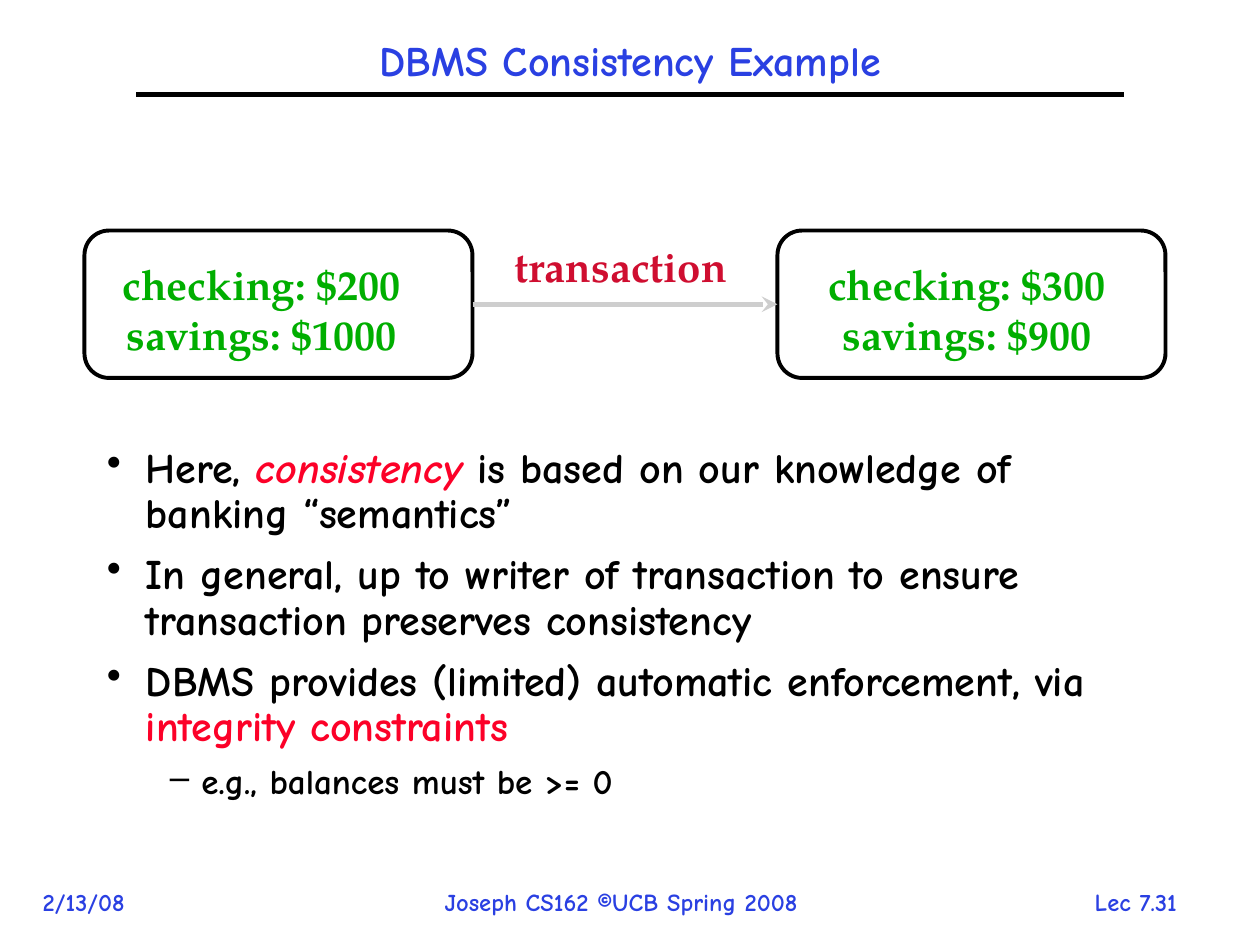
from lxml.etree import SubElement
from pptx import Presentation
from pptx.dml.color import RGBColor
from pptx.enum.shapes import MSO_CONNECTOR as Connector, MSO_SHAPE as Shape
from pptx.enum.text import MSO_ANCHOR as Anchor, PP_ALIGN as Align
from pptx.oxml.ns import qn
from pptx.util import Inches, Pt

COMIC, SERIF = "Comic Neue", "TeX Gyre Pagella"
BLACK, BLUE, RED, GREEN = "000000", "2A40E2", "FC0128", "00AE00"
CRIMSON, GRAY = "CF0E30", "CECECE"

BULLETS = [
    (0, [("Here, ", BLACK, False), ("consistency", RED, True),
         (" is based on our knowledge of banking “semantics”", BLACK, False)]),
    (0, [("In general, up to writer of transaction to ensure "
          "transaction preserves consistency", BLACK, False)]),
    (0, [("DBMS provides (limited) automatic enforcement, via ", BLACK, False),
         ("integrity constraints", RED, False)]),
    (1, [("e.g., balances must be >= 0", BLACK, False)]),
]
LEVELS = [("•", 0.31, -0.31, 24, 9), ("–", 0.75, -0.25, 20, 7.5)]


def paint(target, color):
    """Give a fill or a font a solid colour from a hex string."""
    if hasattr(target, "solid"):
        target.solid()
        target.fore_color.rgb = RGBColor.from_string(color)
    else:
        target.color.rgb = RGBColor.from_string(color)


def set_font(font, name, size):
    """Set a bold font of the given name and size."""
    font.name, font.size, font.bold = name, Pt(size), True


def add_text(page, place, lines, name, size, color, align=Align.CENTER, wrap=False):
    """Add a text box with one paragraph per line and return its frame."""
    frame = page.shapes.add_textbox(*map(Inches, place)).text_frame
    frame.word_wrap = wrap
    frame.text = "\n".join(lines)
    for para in frame.paragraphs:
        para.alignment = align
        set_font(para.font, name, size)
        paint(para.font, color)
    return frame


def add_line(page, start, end, color):
    """Add a straight 3 point line without shadow."""
    line = page.shapes.add_connector(Connector.STRAIGHT, *map(Inches, start + end))
    paint(line.line.fill, color)
    line.line.width = Pt(3)
    SubElement(line._element.spPr, qn("a:effectLst"))
    return line


def add_state(page, left, text_left, lines):
    """Add a rounded account box with its balances."""
    place = map(Inches, (left, 1.83, 3.08, 1.17))
    box = page.shapes.add_shape(Shape.ROUNDED_RECTANGLE, *place)
    box.adjustments[0] = 0.167
    box.shadow.inherit = False
    box.fill.background()
    paint(box.line.fill, BLACK)
    box.line.width = Pt(2.25)
    add_text(page, (text_left, 2, 2.63, 0.9), lines, SERIF, 24, GREEN)
    return box


def add_arrow(page, source, target):
    """Join the facing sides of two boxes with an arrow."""
    arrow = add_line(page, (3.75, 2.42), (6.17, 2.42), GRAY)
    arrow.begin_connect(source, 3)
    arrow.end_connect(target, 1)
    SubElement(arrow.line._get_or_add_ln(), qn("a:tailEnd"), type="stealth")


def add_bullets(page, place, items):
    """Add a bulleted list from levels and coloured spans."""
    frame = page.shapes.add_textbox(*map(Inches, place)).text_frame
    frame.word_wrap = True
    for index, (level, spans) in enumerate(items):
        para = frame.add_paragraph() if index else frame.paragraphs[0]
        mark, margin, indent, size, space = LEVELS[level]
        para.level, para.line_spacing, para.space_before = level, 0.9, Pt(space)
        set_font(para.font, COMIC, size)
        for text, color, italic in spans:
            span = para.add_run()
            span.text = text
            span.font.italic = italic
            paint(span.font, color)
        props = para._p.get_or_add_pPr()
        props.set("marL", str(Inches(margin)))
        props.set("indent", str(Inches(indent)))
        bullet_color = SubElement(props, qn("a:buClr"))
        SubElement(bullet_color, qn("a:srgbClr"), val=BLACK)
        SubElement(props, qn("a:buChar"), char=mark)
        props.append(props.find(qn("a:defRPr")))


def main():
    """Build the slide and save the deck."""
    deck = Presentation()
    deck.slide_width, deck.slide_height = Inches(10), Inches(7.5)
    page = deck.slides.add_slide(deck.slide_layouts[6])

    title = add_text(page, (0.75, 0.25, 8.5, 0.5), ["DBMS Consistency Example"],
                     COMIC, 24, BLUE, wrap=True)
    title.vertical_anchor = Anchor.MIDDLE
    title.paragraphs[0].line_spacing = 0.9
    add_line(page, (1.08, 0.75), (8.92, 0.75), BLACK)

    before = add_state(page, 0.67, 0.76, ["checking: $200", "savings: $1000"])
    after = add_state(page, 6.17, 6.36, ["checking: $300", "savings: $900"])
    add_arrow(page, before, after)
    add_text(page, (3.85, 1.86, 2.15, 0.5), ["transaction"], SERIF, 24, CRIMSON)

    add_bullets(page, (0.75, 3.5, 8.5, 3.33), BULLETS)

    for left, width, text, align in [
        (0.24, 0.85, "2/13/08", Align.LEFT),
        (3.43, 3.01, "Joseph CS162 ©UCB Spring 2008", Align.LEFT),
        (8.25, 1.53, "Lec 7.31", Align.CENTER),
    ]:
        add_text(page, (left, 6.99, width, 0.33), [text], COMIC, 14, BLUE, align)

    deck.save("out.pptx")


if __name__ == "__main__":
    main()
